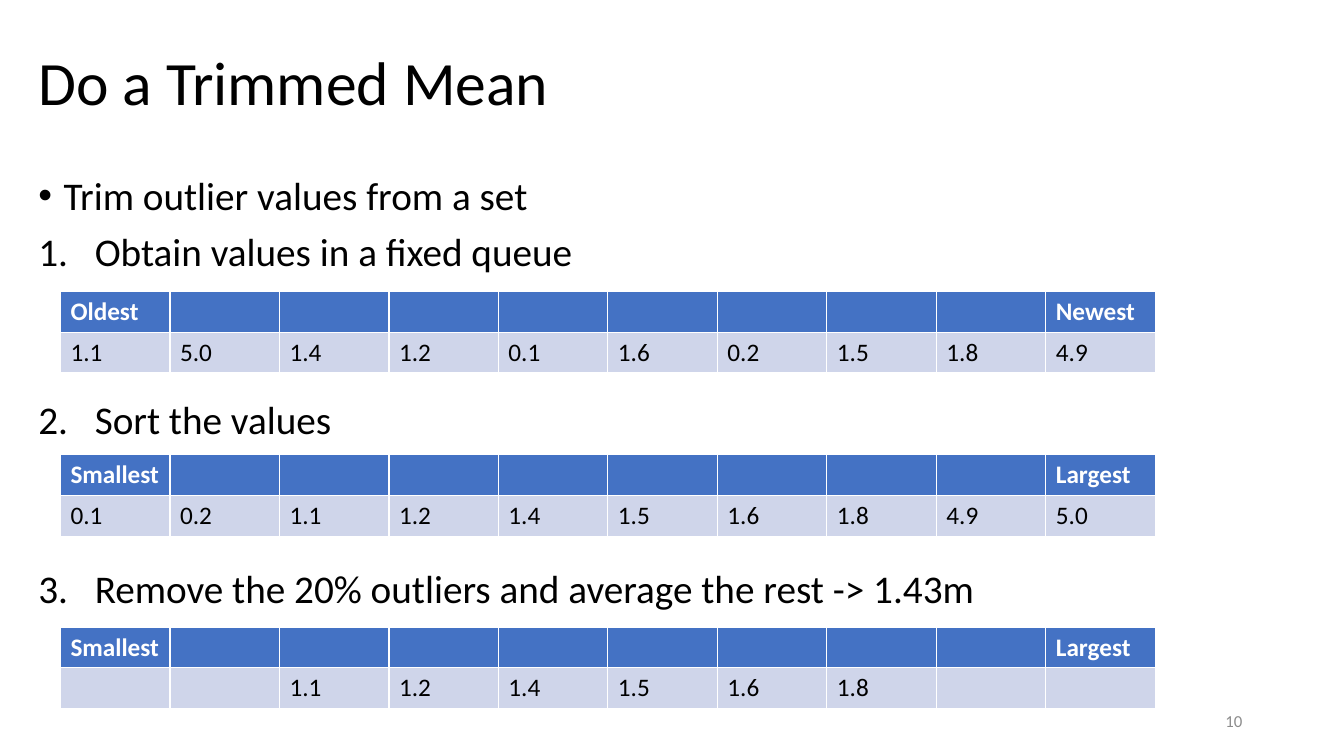
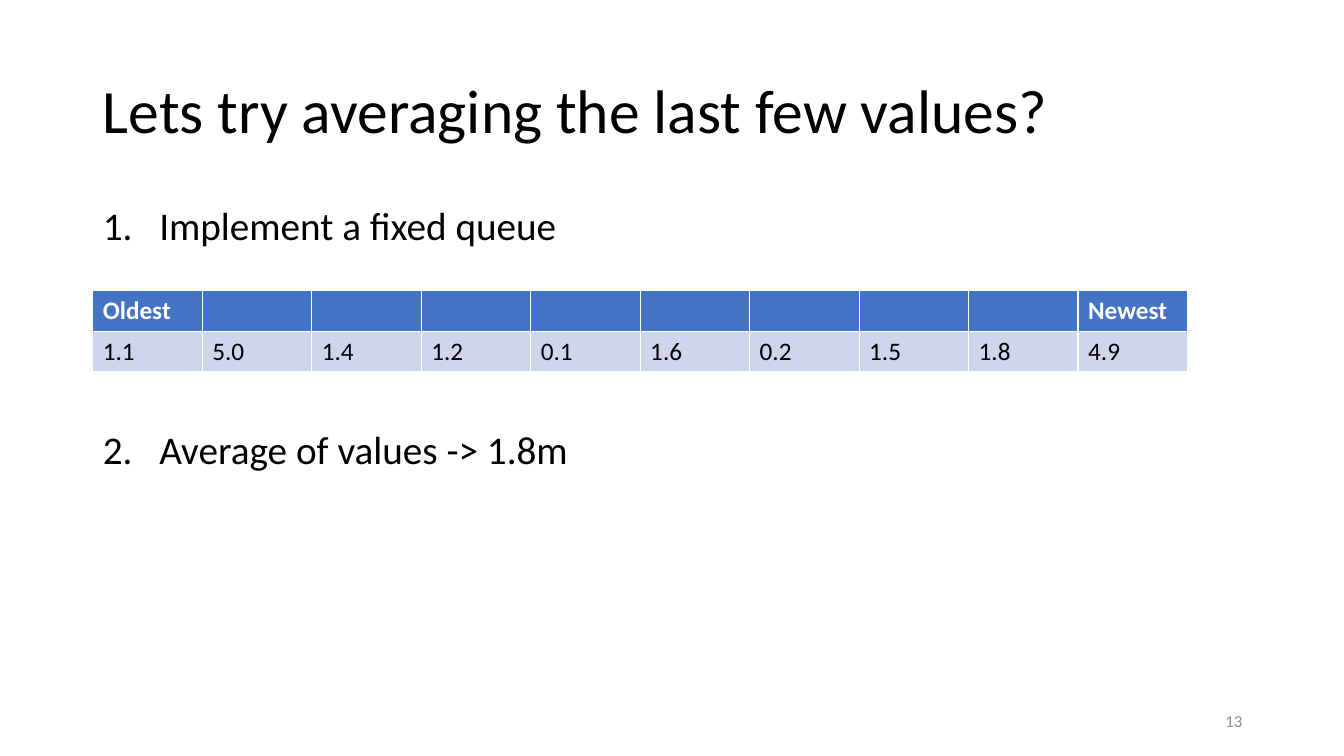
from lxml import etree
from pptx import Presentation
from pptx.dml.color import RGBColor
from pptx.enum.text import MSO_ANCHOR, MSO_AUTO_SIZE, PP_ALIGN
from pptx.oxml.ns import qn
from pptx.util import Inches, Pt

LEFT, RIGHT = PP_ALIGN.LEFT, PP_ALIGN.RIGHT
TOP, MIDDLE = MSO_ANCHOR.TOP, MSO_ANCHOR.MIDDLE
NO_AUTOFIT = MSO_AUTO_SIZE.NONE

BLACK = RGBColor(0x00, 0x00, 0x00)
WHITE = RGBColor(0xFF, 0xFF, 0xFF)
GRAY = RGBColor(0x8C, 0x8C, 0x8C)
HEADER_BLUE = RGBColor(0x44, 0x72, 0xC4)
ROW_BLUE = RGBColor(0xCF, 0xD5, 0xEA)
FONT = "Calibri"

# Bullet kinds: element, attributes, hanging indent in inches
BULLET = ("a:buChar", {"char": "•"}, 0.25)
NUMBER = ("a:buAutoNum", {"type": "arabicPeriod"}, 0.56)

QUEUE = ["1.1", "5.0", "1.4", "1.2", "0.1", "1.6", "0.2", "1.5", "1.8", "4.9"]
SORTED = sorted(QUEUE, key=float)
TRIMMED = ["", ""] + SORTED[2:-2] + ["", ""]

# Boxes are left, top, width, height in inches.
# Items are bullet kind, space before in points, text.
# Tables are top, first heading, last heading, values.
SLIDES = [
    {
        "title": "Do a Trimmed Mean",
        "title_box": (0.28, 0.43, 11.5, 0.83),
        "body_box": (0.28, 1.7, 11.5, 5.41),
        "items": [
            (BULLET, 0, "Trim outlier values from a set"),
            (NUMBER, 10, "Obtain values in a fixed queue"),
            (NUMBER, 90, "Sort the values"),
            (NUMBER, 90, "Remove the 20% outliers and average the rest -> 1.43m"),
        ],
        "table_left": 0.6,
        "tables": [
            (2.89, "Oldest", "Newest", QUEUE),
            (4.51, "Smallest", "Largest", SORTED),
            (6.22, "Smallest", "Largest", TRIMMED),
        ],
        "number": "10",
    },
    {
        "title": "Lets try averaging the last few values?",
        "title_box": (0.92, 0.4, 11.5, 1.45),
        "body_box": (0.92, 2, 11.5, 4.76),
        "items": [
            (NUMBER, 0, "Implement a fixed queue"),
            (NUMBER, 130, "Average of values -> 1.8m"),
        ],
        "table_left": 0.92,
        "tables": [(2.88, "Oldest", "Newest", QUEUE)],
        "number": "13",
    },
]


def place(shape, box, anchor):
    """Move a text shape and give it fixed-size, wrapping text."""
    shape.left, shape.top, shape.width, shape.height = map(Inches, box)
    frame = shape.text_frame
    frame.word_wrap = True
    frame.auto_size = NO_AUTOFIT
    frame.vertical_anchor = anchor
    return frame


def style(paragraph, size, color, bold=False, align=LEFT):
    paragraph.alignment = align
    font = paragraph.font
    font.name = FONT
    font.size = Pt(size)
    font.bold = bold
    font.color.rgb = color


presentation = Presentation()
presentation.slide_width = Inches(13.33)
presentation.slide_height = Inches(7.5)
layout = presentation.slide_layouts[1]

for content in SLIDES:
    slide = presentation.slides.add_slide(layout)

    # Title
    frame = place(slide.shapes.title, content["title_box"], MIDDLE)
    frame.text = content["title"]
    frame.paragraphs[0].line_spacing = 0.9
    style(frame.paragraphs[0], 44, BLACK)

    # Steps
    frame = place(slide.placeholders[1], content["body_box"], TOP)
    frame.text = "\n".join(text for _, _, text in content["items"])
    for paragraph, (kind, space, _) in zip(frame.paragraphs, content["items"]):
        tag, attributes, indent = kind
        paragraph.line_spacing = 0.9
        paragraph.space_before = Pt(space)
        properties = paragraph._p.get_or_add_pPr()
        properties.set("marL", str(Inches(indent)))
        properties.set("indent", str(-Inches(indent)))
        etree.SubElement(properties, qn(tag), attributes)
        style(paragraph, 28, BLACK)

    # Slide number
    number_box = slide.shapes.add_textbox(0, 0, 0, 0)
    frame = place(number_box, (9.42, 6.95, 3, 0.4), MIDDLE)
    frame.text = content["number"]
    style(frame.paragraphs[0], 12, GRAY, align=RIGHT)

    # Value tables; the default table style draws the white borders
    for top, first, last, values in content["tables"]:
        headings = [first] + [""] * (len(values) - 2) + [last]
        table = slide.shapes.add_table(
            2, len(values), Inches(content["table_left"]), Inches(top),
            Inches(10.86), Inches(0.81)).table
        rows = [(headings, HEADER_BLUE, WHITE, True), (values, ROW_BLUE, BLACK, False)]
        for row, (texts, fill, color, bold) in enumerate(rows):
            for column, text in enumerate(texts):
                cell = table.cell(row, column)
                cell.fill.solid()
                cell.fill.fore_color.rgb = fill
                cell.text = text
                style(cell.text_frame.paragraphs[0], 18, color, bold)

presentation.save("out.pptx")
